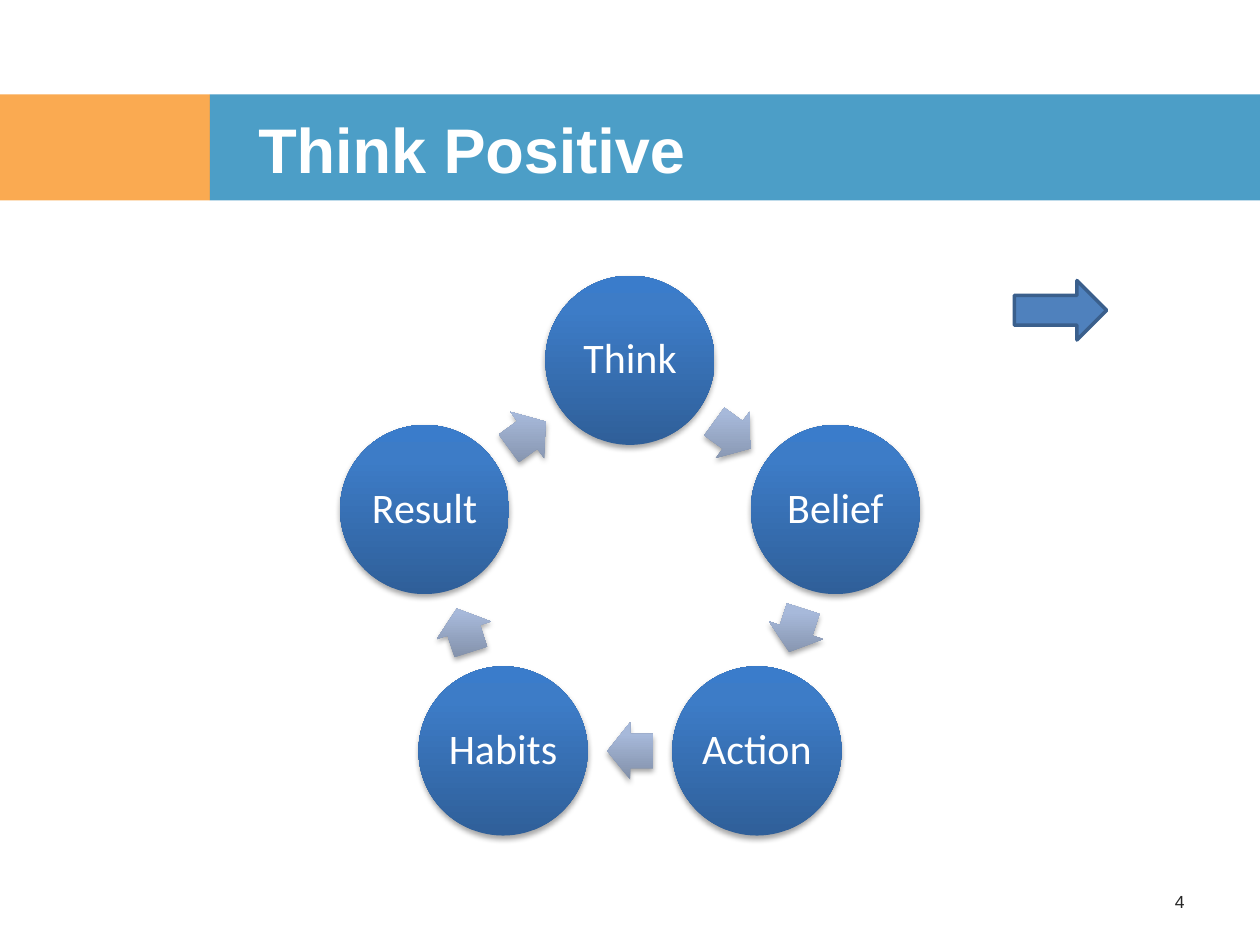
from copy import deepcopy
from math import cos, radians, sin

from lxml.etree import SubElement
from pptx import Presentation
from pptx.dml.color import RGBColor
from pptx.enum.shapes import MSO_SHAPE
from pptx.enum.text import MSO_ANCHOR, MSO_AUTO_SIZE, PP_ALIGN
from pptx.oxml.ns import qn
from pptx.util import Pt

WHITE = RGBColor(0xFF, 0xFF, 0xFF)
ORANGE = RGBColor(0xF8, 0x86, 0x08)
TEAL = RGBColor(0x00, 0x75, 0xB0)
BLUE = RGBColor(0x4F, 0x81, 0xBD)
BLUE_EDGE = RGBColor(0x3A, 0x5F, 0x8C)
NUMBER_GREY = RGBColor(0x26, 0x26, 0x26)
STEP_SHADES = [RGBColor(0x2F, 0x5F, 0x99), RGBColor(0x3D, 0x7C, 0xC7), RGBColor(0x3A, 0x7C, 0xCB)]
ARROW_SHADES = [RGBColor(0x81, 0x8F, 0xA8), RGBColor(0xA7, 0xB9, 0xDA), RGBColor(0xA7, 0xBA, 0xDC)]

STEPS = ["Think", "Belief", "Action", "Habits", "Result"]


def set_text(shape, text, font="Arial", size=24, color=WHITE, bold=False,
             align=PP_ALIGN.LEFT, spacing=None, inset=None):
    frame = shape.text_frame
    frame.word_wrap = True
    frame.auto_size = MSO_AUTO_SIZE.NONE
    frame.vertical_anchor = MSO_ANCHOR.MIDDLE
    if inset is not None:
        frame.margin_left = frame.margin_right = Pt(inset)
        frame.margin_top = frame.margin_bottom = Pt(inset)
    paragraph = frame.paragraphs[0]
    paragraph.alignment = align
    if spacing:
        paragraph.line_spacing = spacing
    run = paragraph.add_run()
    run.text = text
    run.font.name = font
    run.font.size = Pt(size)
    run.font.bold = bold
    run.font.color.rgb = color


def add_plain_shape(slide, preset, left, top, width, height):
    """Add a preset shape without outline or shadow."""
    shape = slide.shapes.add_shape(preset, Pt(left), Pt(top), Pt(width), Pt(height))
    shape.line.fill.background()
    shape.shadow.inherit = False
    return shape


def shade(shape, colors):
    """Give an upright gradient, dark at the bottom, and a soft shadow below."""
    fill = shape.fill
    fill.gradient()
    fill.gradient_angle = 90
    properties = shape.element.spPr
    gradient = properties.find(qn("a:gradFill"))
    gradient.set("rotWithShape", "0")
    stops = gradient.find(qn("a:gsLst"))
    stops.insert(1, deepcopy(stops[0]))
    for stop, position, color in zip(fill.gradient_stops, (0, 0.8, 1), colors):
        stop.position = position
        stop.color.rgb = color

    shadow = SubElement(properties.find(qn("a:effectLst")), qn("a:outerShdw"),
                        blurRad=str(Pt(3.1)), dist=str(Pt(1.8)), dir="5400000", rotWithShape="0")
    shadow_color = SubElement(shadow, qn("a:srgbClr"), val="000000")
    SubElement(shadow_color, qn("a:alpha"), val="35000")


def add_title_band(slide, left, top, width, height):
    accent_width = width / 6
    for color, bar_left, bar_width in (
        (ORANGE, left, accent_width),
        (TEAL, left + accent_width, width - accent_width),
    ):
        bar = add_plain_shape(slide, MSO_SHAPE.RECTANGLE, bar_left, top, bar_width, height)
        bar.fill.solid()
        bar.fill.fore_color.rgb = color
        bar_color = bar.element.spPr.find(qn("a:solidFill"))[0]
        SubElement(bar_color, qn("a:alpha"), val="70000")

    title = slide.shapes.title
    title.left, title.top = Pt(left + accent_width + 20.4), Pt(top + 8.5)
    title.width, title.height = Pt(569.5), Pt(44.6)
    set_text(title, "Think Positive", size=36, bold=True)
    title.element.getparent().append(title.element)  # in front of the bars


def add_cycle(slide, center_x, center_y, radius, diameter):
    """Place the steps clockwise on a ring, with an arrow between neighbours."""
    turn = 360 / len(STEPS)
    arrow_width, arrow_height = 26, 32.6
    arrow_radius = radius * cos(radians(turn / 2))
    for index, step in enumerate(STEPS):
        angle = radians(index * turn)
        x = center_x + radius * sin(angle)
        y = center_y - radius * cos(angle)
        circle = add_plain_shape(slide, MSO_SHAPE.OVAL, x - diameter / 2, y - diameter / 2,
                                 diameter, diameter)
        shade(circle, STEP_SHADES)
        set_text(circle, step, font="Calibri", align=PP_ALIGN.CENTER, spacing=0.9, inset=2.4)

        heading = (index + 0.5) * turn
        x = center_x + arrow_radius * sin(radians(heading))
        y = center_y - arrow_radius * cos(radians(heading))
        arrow = add_plain_shape(slide, MSO_SHAPE.RIGHT_ARROW, x - arrow_width / 2,
                                y - arrow_height / 2, arrow_width, arrow_height)
        arrow.adjustments[0] = 0.6
        arrow.rotation = heading
        shade(arrow, ARROW_SHADES)


def add_next_arrow(slide, left, top, width, height):
    arrow = add_plain_shape(slide, MSO_SHAPE.RIGHT_ARROW, left, top, width, height)
    arrow.fill.solid()
    arrow.fill.fore_color.rgb = BLUE
    arrow.line.color.rgb = BLUE_EDGE
    arrow.line.width = Pt(2)


def add_page_number(slide, left, top, width, height):
    number = slide.shapes.add_textbox(Pt(left), Pt(top), Pt(width), Pt(height))
    set_text(number, "4", size=10, color=NUMBER_GREY, align=PP_ALIGN.RIGHT)


def main():
    deck = Presentation()
    deck.slide_width, deck.slide_height = Pt(720), Pt(540)
    slide = deck.slides.add_slide(deck.slide_layouts[5])
    add_title_band(slide, 0, 54, 720, 60.5)
    add_cycle(slide, center_x=360, center_y=329.3, radius=123.4, diameter=96.7)
    add_next_arrow(slide, 579.6, 160.3, 52.8, 34)
    add_page_number(slide, 516, 500.5, 168, 28.8)
    deck.save("out.pptx")


if __name__ == "__main__":
    main()
